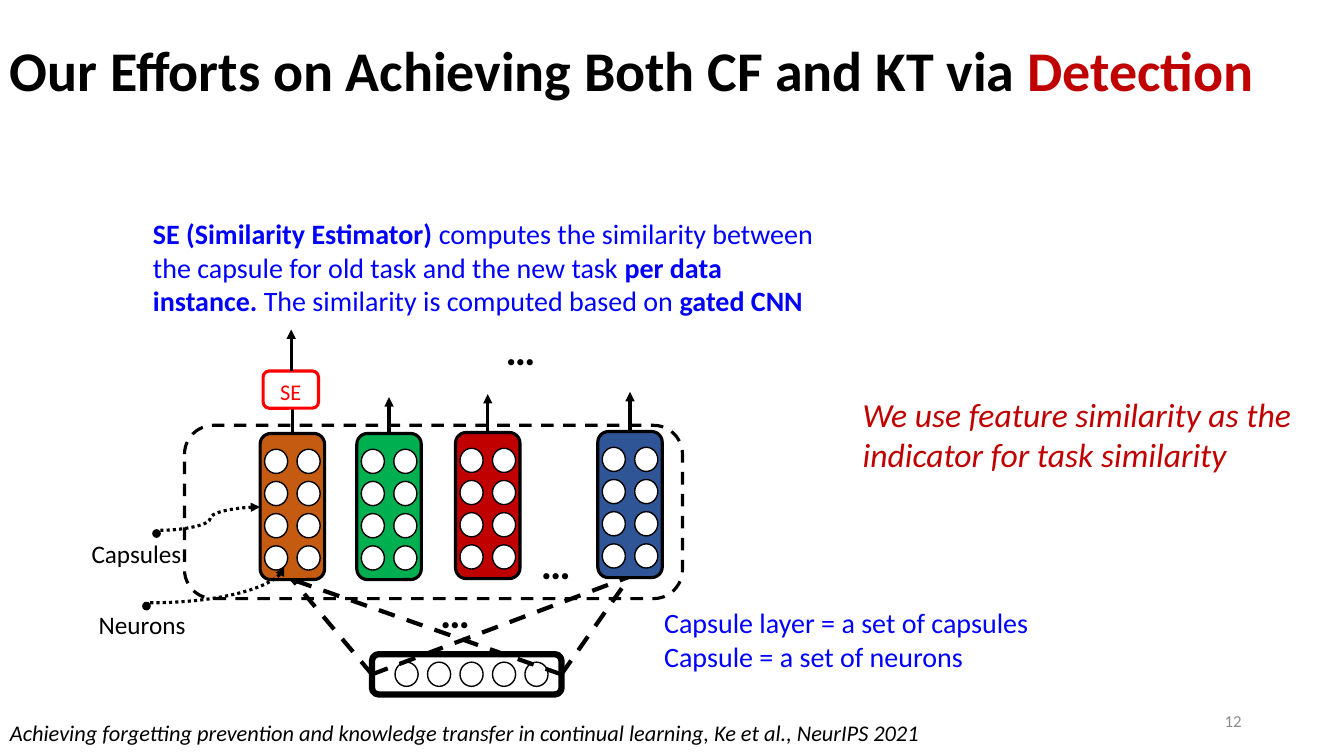
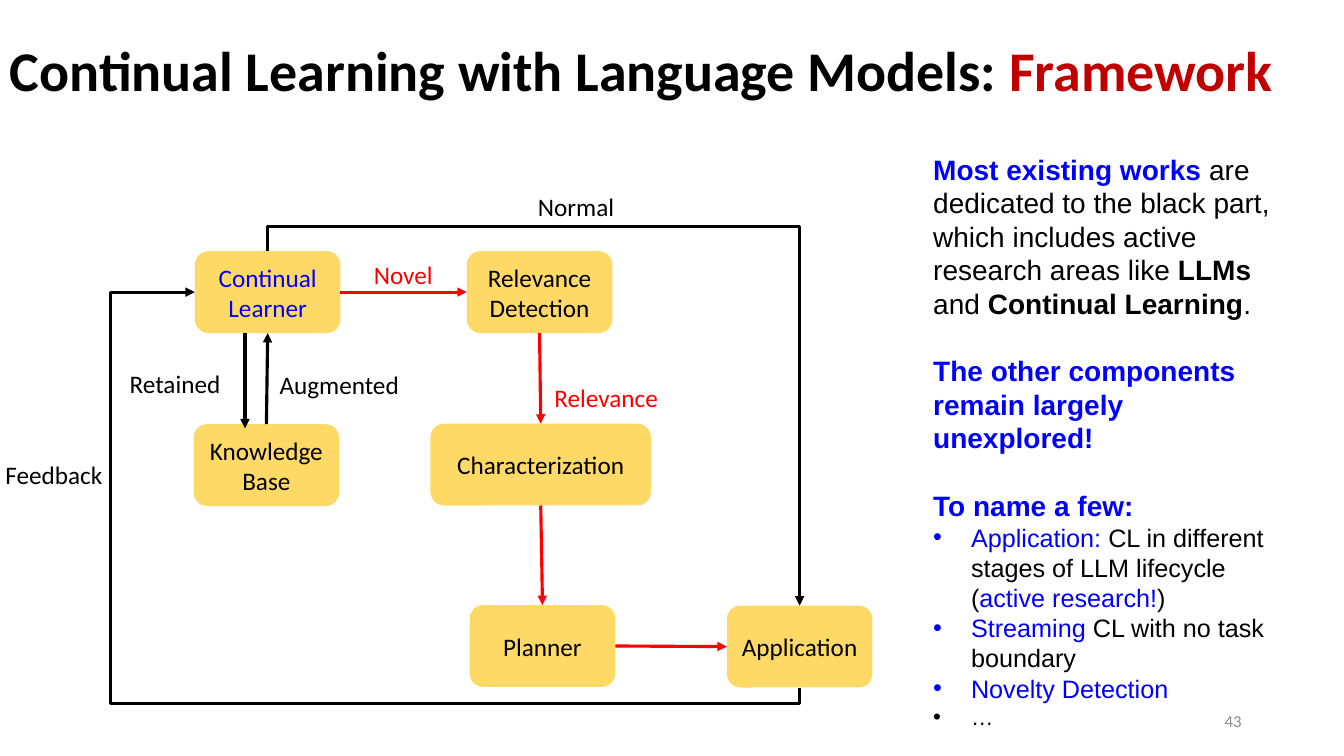
from dataclasses import dataclass
from math import cos, radians, sin

from lxml import etree
from pptx import Presentation
from pptx.dml.color import RGBColor
from pptx.enum.dml import MSO_LINE
from pptx.enum.shapes import MSO_CONNECTOR, MSO_SHAPE
from pptx.enum.text import MSO_ANCHOR, PP_ALIGN
from pptx.oxml.ns import qn
from pptx.util import Pt

ROUNDED, OVAL = MSO_SHAPE.ROUNDED_RECTANGLE, MSO_SHAPE.OVAL
STRAIGHT, ELBOW, CURVE = MSO_CONNECTOR.STRAIGHT, MSO_CONNECTOR.ELBOW, MSO_CONNECTOR.CURVE
DASH, DOTS = MSO_LINE.DASH, MSO_LINE.ROUND_DOT
TOP, MIDDLE = MSO_ANCHOR.TOP, MSO_ANCHOR.MIDDLE
LEFT, CENTER, RIGHT = PP_ALIGN.LEFT, PP_ALIGN.CENTER, PP_ALIGN.RIGHT
TOP_SITE, LEFT_SITE, BOTTOM_SITE, RIGHT_SITE = range(4)


@dataclass(frozen=True)
class Theme:
    black: str = "000000"
    white: str = "FFFFFF"
    gray: str = "8C8C8C"
    accent: str = "C00000"
    red: str = "FF0000"
    blue: str = "0000FF"
    yellow: str = "FFD966"
    orange: str = "C55A11"
    green: str = "00B050"
    navy: str = "2F5597"
    font: str = "Calibri"
    side_font: str = "Arial"
    title: int = 40
    dots: int = 30
    remark: int = 24
    body: int = 20
    label: int = 18
    small: int = 16
    number: int = 12
    stroke: float = 2.25


THEME = Theme()


@dataclass
class Run:
    text: str
    color: str = THEME.black
    size: int = THEME.label
    bold: bool = False
    italic: bool = False
    font: str = THEME.font


@dataclass
class Para:
    runs: list
    gap: float = 0
    bullet: bool = False
    spacing: float = 1.0


class Deck:
    """The style and the slide being built; all lengths are in points."""

    def __init__(self):
        self.file = Presentation()
        self.file.slide_width, self.file.slide_height = Pt(960), Pt(540)
        self.slide = None

    # Slide frame: title and page number
    def new_slide(self, title, highlight, number):
        self.slide = self.file.slides.add_slide(self.file.slide_layouts[6])
        runs = [Run(title, size=THEME.title, bold=True),
                Run(highlight, THEME.accent, THEME.title, bold=True)]
        self.text((0, 0, 960, 104.5), [Para(runs, spacing=0.9)], anchor=MIDDLE)
        self.text((678, 500.5, 216, 28.5), [Para([Run(number, THEME.gray, THEME.number)])],
                  RIGHT, MIDDLE)

    # Text
    def fill_text(self, frame, paras, align, anchor, insets):
        frame.word_wrap = True
        frame.vertical_anchor = anchor
        frame.margin_left = frame.margin_right = Pt(insets[0])
        frame.margin_top = frame.margin_bottom = Pt(insets[1])
        for index, para in enumerate(paras):
            line = frame.add_paragraph() if index else frame.paragraphs[0]
            line.alignment = align
            line.line_spacing = para.spacing
            line.space_before = Pt(para.gap)
            if para.bullet:
                props = line._p.get_or_add_pPr()
                props.set("marL", str(Pt(27)))
                props.set("indent", str(-Pt(27)))
                etree.SubElement(props, qn("a:buFont"), typeface=THEME.side_font)
                etree.SubElement(props, qn("a:buChar"), char="•")
            for part in para.runs:
                run = line.add_run()
                run.text = part.text
                run.font.name, run.font.size = part.font, Pt(part.size)
                run.font.bold, run.font.italic = part.bold, part.italic
                run.font.color.rgb = RGBColor.from_string(part.color)

    def text(self, box, paras, align=LEFT, anchor=TOP, insets=(7.2, 3.6)):
        frame = self.slide.shapes.add_textbox(*map(Pt, box)).text_frame
        self.fill_text(frame, paras, align, anchor, insets)

    def label(self, text, center, top, color=THEME.black, width=96):
        self.text((center - width / 2, top, width, 29), [Para([Run(text, color)])],
                  CENTER, insets=(0, 3.6))

    def dots(self, left, top):
        self.text((left, top, 52.5, 37.5), [Para([Run("…", size=THEME.dots, bold=True)])],
                  CENTER, MIDDLE, (3.6, 3.6))

    # Shapes
    def style_line(self, line, color, width, dash=None):
        line.color.rgb = RGBColor.from_string(color)
        line.width = Pt(width)
        if dash:
            line.dash_style = dash

    def shape(self, kind, box, fill=None, line=None, width=THEME.stroke, dash=None):
        shape = self.slide.shapes.add_shape(kind, *map(Pt, box))
        shape.shadow.inherit = False
        if fill:
            shape.fill.solid()
            shape.fill.fore_color.rgb = RGBColor.from_string(fill)
        else:
            shape.fill.background()
        if line:
            self.style_line(shape.line, line, width, dash)
        else:
            shape.line.fill.background()
        return shape

    def node(self, text, left, top, width=104, color=THEME.black):
        node = self.shape(ROUNDED, (left, top, width, 58.5), THEME.yellow)
        self.fill_text(node.text_frame, [Para([Run(text, color)])], CENTER, MIDDLE, (7.2, 3.6))
        return node

    def neurons(self, left, top, columns, rows, fill=None):
        for index in range(columns * rows):
            row, column = divmod(index, columns)
            self.shape(OVAL, (left + 23.2 * column, top + 23 * row, 16.5, 17.3),
                       fill, THEME.black, 1)

    # Lines
    def line(self, start, end, color=THEME.black, width=THEME.stroke, dash=None, arrow=True,
             kind=STRAIGHT, preset=None, bends=(), turn=0):
        # A turned connector is stored unrotated around the middle of its ends.
        mid = [(a + b) / 2 for a, b in zip(start, end)]
        c, s = cos(radians(turn)), sin(radians(turn))
        ends = []
        for x, y in (start, end):
            dx, dy = x - mid[0], y - mid[1]
            ends += [Pt(mid[0] + dx * c + dy * s), Pt(mid[1] - dx * s + dy * c)]
        link = self.slide.shapes.add_connector(kind, *ends)
        self.style_line(link.line, color, width, dash)
        props = link.element.spPr
        if turn:
            props.find(qn("a:xfrm")).set("rot", str(turn * 60000))
        if preset:
            geometry = props.find(qn("a:prstGeom"))
            geometry.set("prst", preset)
            for index, bend in enumerate(bends, 1):
                name = f"adj{index}"
                etree.SubElement(geometry.find(qn("a:avLst")), qn("a:gd"), name=name,
                                 fmla=f"val {round(bend * 100000)}")
        if arrow:
            etree.SubElement(props.find(qn("a:ln")), qn("a:tailEnd"), type="triangle")
        etree.SubElement(props, qn("a:effectLst"))
        return link

    def link(self, source, source_site, target, target_site, color=THEME.black):
        arrow = self.line(site(source, source_site), site(target, target_site), color)
        arrow.begin_connect(source, source_site)
        arrow.end_connect(target, target_site)


def site(node, side):
    """Middle of one side of a node."""
    x, y, w, h = node.left.pt, node.top.pt, node.width.pt, node.height.pt
    return ((x + w / 2, y), (x, y + h / 2), (x + w / 2, y + h), (x + w, y + h / 2))[side]


def detection_slide(deck):
    deck.new_slide("Our Efforts on Achieving Both CF and KT via ", "Detection", "12")
    deck.text((0, 509.8, 890, 27), [Para([Run(
        "Achieving forgetting prevention and knowledge transfer in continual learning, "
        "Ke et al., NeurIPS 2021", size=THEME.small, italic=True)])])

    # Input layer and its links to the first and last capsules
    deck.dots(298.8, 418.3)
    deck.shape(ROUNDED, (265.7, 467.3, 135.4, 28.8), line=THEME.black, width=4.5)
    deck.neurons(282.2, 473, 5, 1)
    for capsule_foot in ((208.8, 414), (450, 411.8)):
        for input_side in (265.7, 401):
            deck.line((input_side, 481.7), capsule_foot, width=3, dash=DASH, arrow=False)

    # Capsules: left, top, colour, arrow tip
    for left, top, color, tip in ((185.8, 309.6, THEME.orange, 278.6),
                                  (254.9, 309.6, THEME.green, 283.7),
                                  (325.4, 308.9, THEME.accent, 281.5),
                                  (427, 308.2, THEME.navy, 280)):
        deck.shape(ROUNDED, (left, top, 46.1, 104.4), color, THEME.black)
        deck.neurons(left + 3.2, top + 11.3, 2, 4, THEME.white)
        deck.line((left + 23, top), (left + 23, tip))
    deck.dots(370.8, 383)
    deck.shape(ROUNDED, (131.8, 303.8, 355.7, 123.8), line=THEME.black, dash=DASH)

    # Pointers from the names of the parts
    for name, left, top, dot, tip, preset in (
            ("Capsules", 58.3, 380.9, (108.7, 378), (185.8, 362.2), "curvedConnector3"),
            ("Neurons", 63.4, 432, (101.5, 429.8), (203, 404.6), "curvedConnector2")):
        deck.text((left, top, 92, 29), [Para([Run(name)])])
        deck.shape(OVAL, (*dot, 6.2, 6.2), THEME.black)
        deck.line((dot[0] + 5.8, dot[1] + 0.8), tip, dash=DOTS, kind=CURVE, preset=preset)

    # Similarity estimator
    estimator = deck.shape(ROUNDED, (187.9, 265, 39.6, 26.6), THEME.white, THEME.red)
    deck.fill_text(estimator.text_frame, [Para([Run("SE", THEME.red, THEME.small)])],
                   CENTER, TOP, (7.2, 3.6))
    deck.line((208, 265), (208, 235.4))
    deck.dots(345.6, 230.4)

    # Explanations
    pieces = (("SE (Similarity Estimator) ", True),
              ("computes the similarity between the capsule for old task and the new task ", False),
              ("per data instance. ", True),
              ("The similarity is computed based on ", False),
              ("gated CNN", True))
    deck.text((102.2, 151.2, 496, 80),
              [Para([Run(text, THEME.blue, THEME.body, bold) for text, bold in pieces])])
    deck.text((467.3, 429.1, 284.4, 55.5),
              [Para([Run(text, THEME.blue, THEME.body)]) for text in
               ("Capsule layer = a set of capsules", "Capsule = a set of neurons")])
    deck.text((609.1, 277.9, 340, 65.5),
              [Para([Run("We use feature similarity as the indicator for task similarity",
                         THEME.accent, THEME.remark, italic=True)])])


def framework_slide(deck):
    deck.new_slide("Continual Learning with Language Models: ", "Framework", "43")

    # Commentary
    def side(text, color=THEME.black, bold=False, size=THEME.body):
        return Run(text, color, size, bold, font=THEME.side_font)

    def item(*runs, size=THEME.label):
        return Para([side(text, color, size=size) for text, color in runs], bullet=True)

    blue, black = THEME.blue, THEME.black
    deck.text((659.5, 105.1, 259.2, 424), [
        Para([side("Most existing works ", blue, True),
              side("are dedicated to the black part, which includes active research areas like "),
              side("LLMs ", bold=True), side("and "),
              side("Continual Learning", bold=True), side(".")]),
        Para([side("The other components remain largely unexplored!", blue, True)], gap=24),
        Para([side("To name a few:", blue, True)], gap=24),
        item(("Application: ", blue), ("CL in different stages of LLM lifecycle (", black),
             ("active research!", blue), (")", black)),
        item(("Streaming", blue), (" CL with no task boundary", black)),
        item(("Novelty Detection", blue)),
        item(("…", black), size=THEME.small),
    ])

    # Components
    knowledge = deck.node("Knowledge Base", 138.3, 303)
    learner = deck.node("Continual Learner", 139.2, 179.4, color=THEME.blue)
    application = deck.node("Application", 519.2, 432.6)
    detection = deck.node("Relevance Detection", 333.4, 179.4)
    character = deck.node("Characterization", 307.5, 302.6, 157.5)
    planner = deck.node("Planner", 335.5, 432.2)

    # Flow
    deck.link(knowledge, TOP_SITE, learner, BOTTOM_SITE)
    deck.line((175, 237.9), (175, 306))
    deck.link(learner, RIGHT_SITE, detection, LEFT_SITE, THEME.red)
    deck.link(detection, BOTTOM_SITE, character, TOP_SITE, THEME.red)
    deck.link(character, BOTTOM_SITE, planner, TOP_SITE, THEME.red)
    deck.link(planner, RIGHT_SITE, application, LEFT_SITE, THEME.red)
    deck.line(site(application, BOTTOM_SITE), site(learner, LEFT_SITE), kind=ELBOW,
              preset="bentConnector4", bends=(-0.04, 1.14), turn=90)
    deck.line(site(learner, TOP_SITE), site(application, TOP_SITE), kind=ELBOW,
              preset="bentConnector3", bends=(-0.07,), turn=270)

    # Names of the flows
    deck.label("Augmented", 242.3, 260.6)
    deck.label("Retained", 125, 259.2)
    deck.label("Novel", 288, 181.4, THEME.red)
    deck.label("Relevance", 433, 269.3, THEME.red)
    deck.label("Normal", 411.5, 133.2)
    deck.label("Feedback", 38.5, 324.7, width=76)


def main():
    deck = Deck()
    detection_slide(deck)
    framework_slide(deck)
    deck.file.save("out.pptx")


if __name__ == "__main__":
    main()
